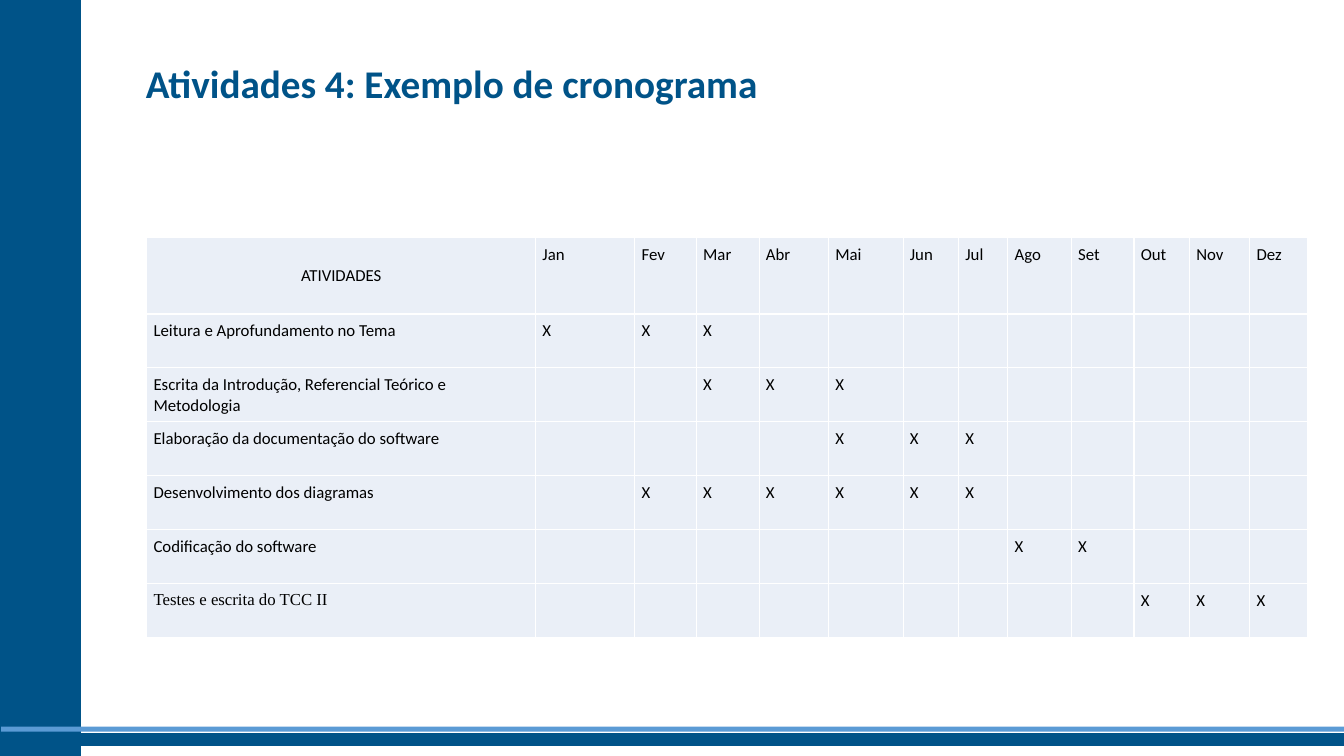
from dataclasses import dataclass

from lxml.etree import SubElement
from pptx import Presentation
from pptx.dml.color import RGBColor
from pptx.enum.shapes import MSO_SHAPE as Preset
from pptx.enum.text import MSO_ANCHOR as Anchor, PP_ALIGN as Align
from pptx.oxml.ns import qn
from pptx.slide import Slide
from pptx.table import _Cell as Cell
from pptx.util import Cm, Pt

NAVY = "005388"
SKY = "5B9BD5"
PALE = "EAEFF7"
WHITE = "FFFFFF"
BLACK = "000000"
SLIDE_WIDTH, SLIDE_HEIGHT = 33.87, 19.05


@dataclass(frozen=True)
class Band:
    left: float
    top: float
    width: float
    height: float
    color: str
    outlined: bool = True


@dataclass(frozen=True)
class Activity:
    name: str
    first_month: int
    last_month: int
    font: str = "Calibri"


BANDS = [
    Band(0, 0, 2.03, SLIDE_HEIGHT, NAVY),
    Band(0, 18.49, SLIDE_WIDTH, 0.3, NAVY),
    Band(0.03, 18.31, SLIDE_WIDTH - 0.03, 0.13, SKY, outlined=False),
]
MONTHS = ["Jan", "Fev", "Mar", "Abr", "Mai", "Jun",
          "Jul", "Ago", "Set", "Out", "Nov", "Dez"]
ACTIVITIES = [
    Activity("Leitura e Aprofundamento no Tema", 1, 3),
    Activity("Escrita da Introdução, Referencial Teórico e Metodologia", 3, 5),
    Activity("Elaboração da documentação do software", 5, 7),
    Activity("Desenvolvimento dos diagramas", 2, 7),
    Activity("Codificação do software", 8, 9),
    Activity("Testes e escrita do TCC II", 10, 12, "Times New Roman"),
]
COLUMN_WIDTHS = [9.8, 2.5, 1.55, 1.58, 1.75, 1.88, 1.4,
                 1.24, 1.6, 1.58, 1.4, 1.52, 1.46]
HEADER_HEIGHT, ACTIVITY_HEIGHT = 1.93, 1.36


def rgb(color: str) -> RGBColor:
    return RGBColor.from_string(color)


def draw_band(slide: Slide, band: Band) -> None:
    stripe = slide.shapes.add_shape(Preset.RECTANGLE, Cm(band.left), Cm(band.top),
                                    Cm(band.width), Cm(band.height))
    stripe.shadow.inherit = False
    stripe.fill.solid()
    stripe.fill.fore_color.rgb = rgb(band.color)
    if band.outlined:
        stripe.line.color.rgb = rgb(band.color)
        stripe.line.width = Pt(1)
    else:
        stripe.line.fill.background()


def draw_title(slide: Slide, title: str) -> None:
    heading = slide.shapes.add_textbox(Cm(3.43), Cm(1.3), Cm(29.24), Cm(2.13)).text_frame
    heading.word_wrap = True
    heading.margin_top = Cm(0.2)
    line = heading.paragraphs[0]
    line.text = title
    line.font.name = "Calibri"
    line.font.size = Pt(28)
    line.font.bold = True
    line.font.color.rgb = rgb(NAVY)


def style_cell(cell: Cell) -> None:
    # Borders come before the fill in the cell properties
    properties = cell._tc.get_or_add_tcPr()
    for side in ("a:lnL", "a:lnR", "a:lnT", "a:lnB"):
        border = SubElement(properties, qn(side), w=str(Pt(1)))
        SubElement(SubElement(border, qn("a:solidFill")), qn("a:srgbClr"), val=WHITE)
    cell.fill.solid()
    cell.fill.fore_color.rgb = rgb(PALE)
    cell.margin_left = cell.margin_right = Cm(0.17)
    cell.margin_top = cell.margin_bottom = Cm(0.17)


def write_cell(cell: Cell, text: str, font: str = "Calibri") -> None:
    entry = cell.text_frame.paragraphs[0]
    entry.text = text
    entry.font.name = font
    entry.font.size = Pt(12)
    entry.font.color.rgb = rgb(BLACK)


def draw_schedule(slide: Slide) -> None:
    heights = [HEADER_HEIGHT] + [ACTIVITY_HEIGHT] * len(ACTIVITIES)
    schedule = slide.shapes.add_table(
        len(heights), len(COLUMN_WIDTHS), Cm(3.7), Cm(5.98),
        Cm(sum(COLUMN_WIDTHS)), Cm(sum(heights))).table
    schedule.first_row = schedule.horz_banding = False
    for column, width in zip(schedule.columns, COLUMN_WIDTHS):
        column.width = Cm(width)
    for row, height in zip(schedule.rows, heights):
        row.height = Cm(height)
    for cell in schedule.iter_cells():
        style_cell(cell)

    # Header row
    corner = schedule.cell(0, 0)
    write_cell(corner, "ATIVIDADES")
    corner.vertical_anchor = Anchor.MIDDLE
    corner.text_frame.paragraphs[0].alignment = Align.CENTER
    for month, label in enumerate(MONTHS, start=1):
        write_cell(schedule.cell(0, month), label)

    # Activities and their months
    for row, activity in enumerate(ACTIVITIES, start=1):
        write_cell(schedule.cell(row, 0), activity.name, activity.font)
        for month in range(activity.first_month, activity.last_month + 1):
            write_cell(schedule.cell(row, month), "X")


def main() -> None:
    deck = Presentation()
    deck.slide_width, deck.slide_height = Cm(SLIDE_WIDTH), Cm(SLIDE_HEIGHT)
    slide = deck.slides.add_slide(deck.slide_layouts[6])
    for band in BANDS:
        draw_band(slide, band)
    draw_title(slide, "Atividades 4: Exemplo de cronograma")
    draw_schedule(slide)
    deck.save("out.pptx")


if __name__ == "__main__":
    main()
